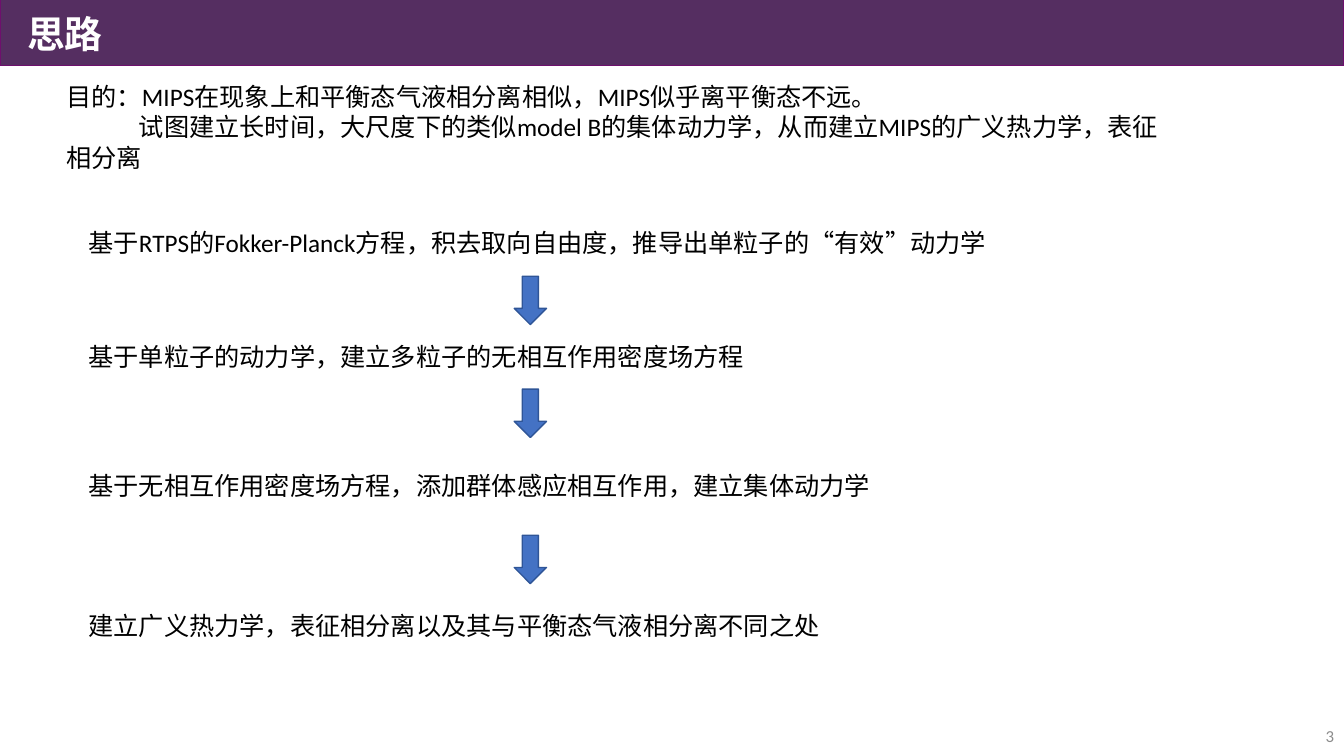
import pptx
import pptx.util
import pptx.dml.color
import pptx.enum.lang
import pptx.enum.shapes
import pptx.enum.text

Inches = pptx.util.Inches
RGBColor = pptx.dml.color.RGBColor
SHAPES = pptx.enum.shapes.MSO_SHAPE
ALIGN = pptx.enum.text.PP_ALIGN
ANCHOR = pptx.enum.text.MSO_ANCHOR

PURPLE = RGBColor(0x55, 0x2E, 0x61)
PURPLE_LINE = RGBColor(0x6E, 0x0F, 0x6D)
BLUE = RGBColor(0x44, 0x72, 0xC4)
BLUE_LINE = RGBColor(0x2F, 0x55, 0x97)
BLACK = RGBColor(0, 0, 0)
WHITE = RGBColor(0xFF, 0xFF, 0xFF)
GREY = RGBColor(0x8C, 0x8C, 0x8C)

presentation = pptx.Presentation()
presentation.slide_width = Inches(13.33)
presentation.slide_height = Inches(7.5)
slide = presentation.slides.add_slide(presentation.slide_layouts[6])


def add_text(text, left, top, width, height, size=18, color=BLACK, bold=False,
             align=ALIGN.LEFT, anchor=ANCHOR.TOP, last_indent=0):
    """Add a text box with one paragraph per line; last_indent is in inches."""
    box = slide.shapes.add_textbox(Inches(left), Inches(top), Inches(width), Inches(height))
    frame = box.text_frame
    frame.word_wrap = True
    frame.vertical_anchor = anchor
    frame.text = text
    for paragraph in frame.paragraphs:
        paragraph.alignment = align
        font = paragraph.runs[0].font
        font.name = "Calibri"
        font.size = pptx.util.Pt(size)
        font.bold = bold
        font.color.rgb = color
        font.language_id = pptx.enum.lang.MSO_LANGUAGE_ID.SIMPLIFIED_CHINESE
    if last_indent:
        paragraph._p.get_or_add_pPr().set("indent", str(Inches(last_indent)))


def add_filled_shape(kind, left, top, width, height, fill, line):
    shape = slide.shapes.add_shape(kind, Inches(left), Inches(top), Inches(width), Inches(height))
    shape.shadow.inherit = False
    shape.fill.solid()
    shape.fill.fore_color.rgb = fill
    shape.line.color.rgb = line
    shape.line.width = pptx.util.Pt(1)


# Title bar and page number
add_filled_shape(SHAPES.RECTANGLE, 0, -0.01, 13.33, 0.66, PURPLE, PURPLE_LINE)
add_text("思路", 0.17, 0.06, 3.97, 0.55, size=27, color=WHITE, bold=True)
add_text("3", 10.33, 7.1, 3, 0.4, size=12, color=GREY, align=ALIGN.RIGHT, anchor=ANCHOR.MIDDLE)

# Purpose
add_text("目的：MIPS在现象上和平衡态气液相分离相似，MIPS似乎离平衡态不远。\n"
         "试图建立长时间，大尺度下的类似model B的集体动力学，从而建立MIPS的广义热力学，表征相分离",
         0.56, 0.76, 11.13, 1.01, last_indent=0.72)

# Steps of the derivation
steps = [
    (2.21, "基于RTPS的Fokker-Planck方程，积去取向自由度，推导出单粒子的“有效”动力学"),
    (3.34, "基于单粒子的动力学，建立多粒子的无相互作用密度场方程"),
    (4.62, "基于无相互作用密度场方程，添加群体感应相互作用，建立集体动力学"),
    (6.01, "建立广义热力学，表征相分离以及其与平衡态气液相分离不同之处"),
]
for top, text in steps:
    add_text(text, 0.78, top, 10.36, 0.4)

# Arrows between the steps
for top in (2.74, 3.86, 5.31):
    add_filled_shape(SHAPES.DOWN_ARROW, 5.1, top, 0.32, 0.48, BLUE, BLUE_LINE)

presentation.save("out.pptx")
